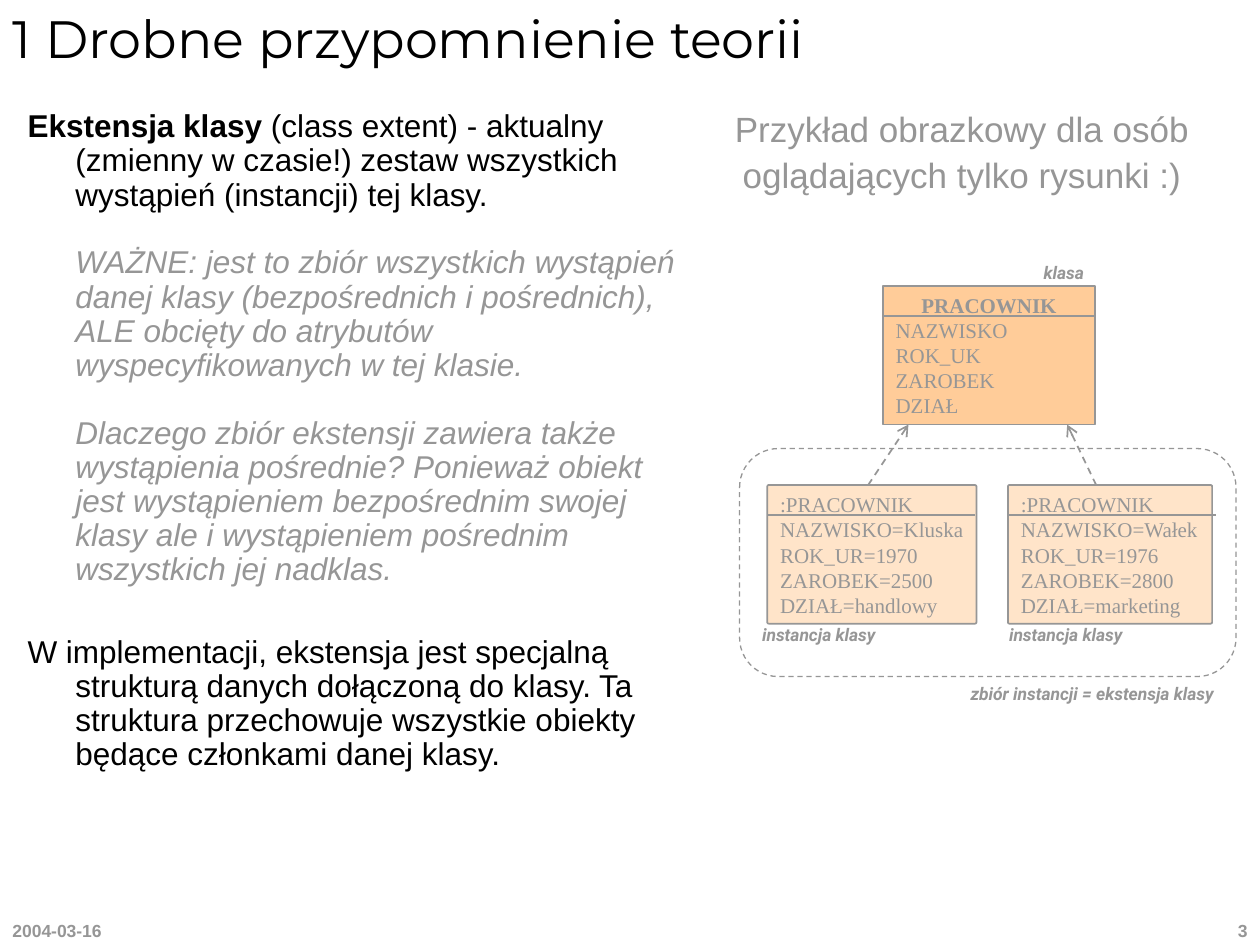
from lxml.etree import SubElement
from pptx import Presentation
from pptx.dml.color import RGBColor
from pptx.enum.dml import MSO_LINE
from pptx.enum.shapes import MSO_CONNECTOR, MSO_SHAPE
from pptx.enum.text import MSO_ANCHOR, MSO_AUTO_SIZE, PP_ALIGN as Align
from pptx.oxml.ns import qn
from pptx.util import Inches, Pt

COLUMNS, ROWS = 100, 75
CELL = Inches(0.1)
BLACK, GRAY = "000000", "969696"
CLASS_FILL, INSTANCE_FILL = "FFCC99", "FFE4C9"
INSTANCE_TOP, BOX_ROWS, HEADER_ROWS = 38.5, 11, 2.4
HANGING = Inches(0.38)


def cells(*counts):
    """Turn counts of grid columns or rows into lengths."""
    return [round(count * CELL) for count in counts]


def color(hex_code):
    return RGBColor.from_string(hex_code)


def style_font(font, size, name, hex_code, bold=False, italic=False):
    font.size, font.name = Pt(size), name
    font.bold, font.italic = bold, italic
    font.color.rgb = color(hex_code)


def style_line(line, width=1, dashed=False):
    line.color.rgb = color(GRAY)
    line.width = Pt(width)
    if dashed:
        line.dash_style = MSO_LINE.DASH


def write_lines(frame, lines, size, name, hex_code, align=Align.LEFT, **style):
    """Fill a text frame with one paragraph per line and return the paragraphs."""
    frame.text = "\n".join(lines)
    for paragraph in frame.paragraphs:
        paragraph.alignment = align
        style_font(paragraph.font, size, name, hex_code, **style)
    return frame.paragraphs


def add_text_box(slide, area):
    frame = slide.shapes.add_textbox(*cells(*area)).text_frame
    frame.word_wrap = True
    return frame


def add_line(shapes, start, end, dashed=False, arrow=False):
    connector = shapes.add_connector(MSO_CONNECTOR.STRAIGHT, *cells(*start, *end))
    style_line(connector.line, dashed=dashed)
    properties = connector._element.spPr
    if arrow:
        SubElement(properties.find(qn("a:ln")), qn("a:tailEnd"), type="arrow")
    SubElement(properties, qn("a:effectLst"))


def add_box(shapes, kind, area, fill=None, corner=None, width=1, dashed=False):
    shape = shapes.add_shape(kind, *cells(*area))
    shape.shadow.inherit = False
    if fill:
        shape.fill.solid()
        shape.fill.fore_color.rgb = color(fill)
    else:
        shape.fill.background()
    if corner is not None:
        shape.adjustments[0] = corner
    style_line(shape.line, width, dashed)
    return shape


def add_class_box(slide, kind, left, top, width, fill, lines, rule_right,
                  corner=None, wrap=True):
    """Group a box of lines with the rule under its header."""
    shapes = slide.shapes.add_group_shape().shapes
    box = add_box(shapes, kind, (left, top, width, BOX_ROWS), fill, corner)
    frame = box.text_frame
    frame.word_wrap = wrap
    frame.auto_size = MSO_AUTO_SIZE.SHAPE_TO_FIT_TEXT
    frame.vertical_anchor = MSO_ANCHOR.TOP
    paragraphs = write_lines(frame, lines, 12, "Times New Roman", GRAY)
    rule_y = top + HEADER_ROWS
    add_line(shapes, (left, rule_y), (rule_right, rule_y))
    return paragraphs


def add_label(slide, text, left, top, width, align=Align.LEFT):
    frame = add_text_box(slide, (left, top, width, 2.7))
    write_lines(frame, [text], 10, "Roboto", GRAY, align, bold=True, italic=True)


def add_definition(slide):
    frame = add_text_box(slide, (1.2, 8.3, 53.5, 61.7))
    term = "Ekstensja klasy"
    notes = [
        "WAŻNE: jest to zbiór wszystkich wystąpień danej klasy (bezpośrednich i "
        "pośrednich), ALE obcięty do atrybutów wyspecyfikowanych w tej klasie.",
        "Dlaczego zbiór ekstensji zawiera także wystąpienia pośrednie? Ponieważ "
        "obiekt jest wystąpieniem bezpośrednim swojej klasy ale i wystąpieniem "
        "pośrednim wszystkich jej nadklas.",
    ]
    implementation = (
        "W implementacji, ekstensja jest specjalną strukturą danych dołączoną do "
        "klasy. Ta struktura przechowuje wszystkie obiekty będące członkami danej "
        "klasy.")
    paragraphs = write_lines(frame, ["", *notes, implementation], 18, "Arial", BLACK)
    for paragraph, gap in zip(paragraphs, (0, 19.4, 19.4, 28)):
        paragraph.line_spacing = 0.9
        paragraph.space_before = Pt(gap)
        properties = paragraph._p.get_or_add_pPr()
        properties.set("marL", str(HANGING))
        properties.set("indent", str(-HANGING))
    for paragraph in paragraphs[1:3]:
        paragraph._p.get_or_add_pPr().set("indent", "0")
        style_font(paragraph.font, 18, "Arial", GRAY, italic=True)
    bold_run = paragraphs[0].add_run()
    bold_run.text = term
    bold_run.font.bold = True
    paragraphs[0].add_run().text = (
        " (class extent) - aktualny (zmienny w czasie!) zestaw wszystkich "
        "wystąpień (instancji) tej klasy.")


def add_caption(slide):
    frame = add_text_box(slide, (55.5, 8.4, 41.7, 61.7))
    lines = ["Przykład obrazkowy dla osób", "oglądających tylko rysunki :)"]
    paragraphs = write_lines(frame, lines, 20, "Arial", GRAY, Align.CENTER)
    for paragraph in paragraphs:
        paragraph.line_spacing = 0.9
    paragraphs[1].space_before = Pt(5)


def add_diagram(slide):
    header = add_class_box(
        slide, MSO_SHAPE.RECTANGLE, 70.1, 22.7, 16.8, CLASS_FILL,
        ["PRACOWNIK", "NAZWISKO", "ROK_UK", "ZAROBEK", "DZIAŁ"], 87)[0]
    header.alignment = Align.CENTER
    header.font.bold = True

    instances = [
        (60.9, 16.6, 77.4, 59.5, (68.9, 72.1), ("Kluska", 1970, 2500, "handlowy")),
        (80, 16.2, 96.5, 79.1, (87, 84.7), ("Wałek", 1976, 2800, "marketing")),
    ]
    fields = ("NAZWISKO", "ROK_UR", "ZAROBEK", "DZIAŁ")
    for left, width, rule_right, label_left, arrow_ends, values in instances:
        lines = [f"{field}={value}" for field, value in zip(fields, values)]
        add_class_box(slide, MSO_SHAPE.ROUNDED_RECTANGLE, left, INSTANCE_TOP, width,
                      INSTANCE_FILL, [":PRACOWNIK", *lines], rule_right,
                      corner=0.01, wrap=False)
        add_line(slide.shapes, (arrow_ends[0], INSTANCE_TOP), (arrow_ends[1], 33.7),
                 dashed=True, arrow=True)
        add_label(slide, "instancja klasy", label_left, 49, 16.5)

    add_label(slide, "klasa", 70.5, 20.3, 16.5, Align.RIGHT)
    add_box(slide.shapes, MSO_SHAPE.ROUNDED_RECTANGLE, (58.7, 35.6, 39.4, 18.1),
            corner=0.17, width=0.75, dashed=True)
    add_label(slide, "zbiór instancji = ekstensja klasy", 71.3, 53.7, 26, Align.RIGHT)


def add_footer(slide):
    width, height = 20.8, 2.5
    for text, left, align in (("2004-03-16", 0, Align.LEFT),
                              ("3", COLUMNS - width, Align.RIGHT)):
        frame = add_text_box(slide, (left, ROWS - height, width, height))
        write_lines(frame, [text], 10, "Arial", GRAY, align, bold=True)


def main():
    presentation = Presentation()
    presentation.slide_width, presentation.slide_height = cells(COLUMNS, ROWS)
    slide = presentation.slides.add_slide(presentation.slide_layouts[6])
    title = add_text_box(slide, (0, -0.8, COLUMNS, 7.5))
    title.vertical_anchor = MSO_ANCHOR.MIDDLE
    write_lines(title, ["1 Drobne przypomnienie teorii"], 30, "Montserrat", BLACK)
    add_definition(slide)
    add_caption(slide)
    add_diagram(slide)
    add_footer(slide)
    presentation.save("out.pptx")


if __name__ == "__main__":
    main()
